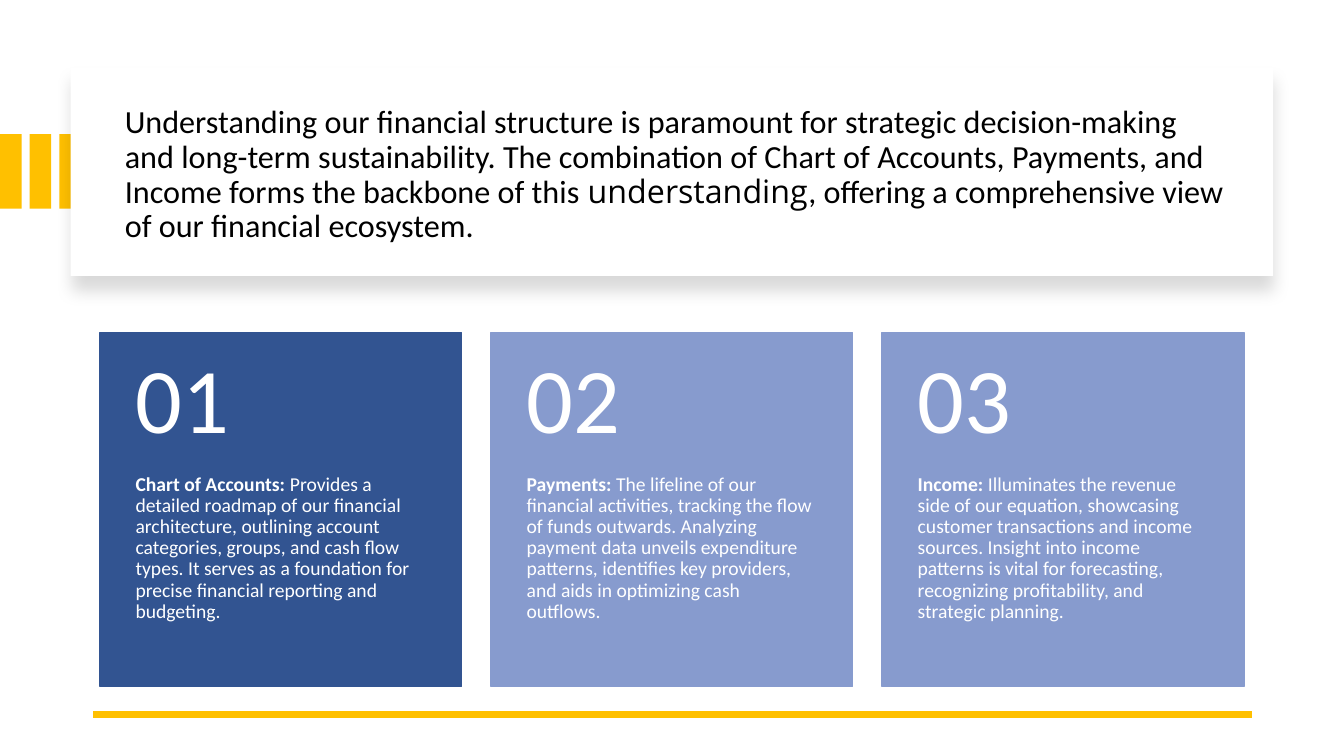
from lxml import etree
from pptx import Presentation
from pptx.dml.color import RGBColor
from pptx.enum.shapes import MSO_CONNECTOR, MSO_SHAPE
from pptx.enum.text import MSO_ANCHOR
from pptx.oxml.ns import qn
from pptx.util import Pt

RECTANGLE = MSO_SHAPE.RECTANGLE
STRAIGHT = MSO_CONNECTOR.STRAIGHT
TOP, MIDDLE = MSO_ANCHOR.TOP, MSO_ANCHOR.MIDDLE

GOLD = RGBColor(0xFF, 0xC0, 0x00)
WHITE = RGBColor(0xFF, 0xFF, 0xFF)
BLACK = RGBColor(0x00, 0x00, 0x00)
NAVY = RGBColor(0x32, 0x54, 0x91)
PERIWINKLE = RGBColor(0x87, 0x9B, 0xCE)

BODY_FONT, ACCENT_FONT = "Calibri", "Open Sans"

CARD_LEFT, CARD_TOP, CARD_PITCH = 71.28, 237.6, 279.36
CARD_WIDTH, CARD_HEIGHT, NUMBER_HEIGHT = 258.48, 252.72, 101.09

HEADLINE = [
    ("Understanding our financial structure is paramount for strategic "
     "decision-making and long-term sustainability. The combination of Chart of "
     "Accounts, Payments, and Income forms the backbone of this ", {}),
    ("understanding", {"font": ACCENT_FONT}),
    (", offering a comprehensive view of our financial ecosystem.", {}),
]

CARDS = [
    (NAVY, "Chart of Accounts:",
     " Provides a detailed roadmap of our financial architecture, outlining "
     "account categories, groups, and cash flow types. It serves as a foundation "
     "for precise financial reporting and budgeting."),
    (PERIWINKLE, "Payments:",
     " The lifeline of our financial activities, tracking the flow of funds "
     "outwards. Analyzing payment data unveils expenditure patterns, identifies "
     "key providers, and aids in optimizing cash outflows."),
    (PERIWINKLE, "Income:",
     " Illuminates the revenue side of our equation, showcasing customer "
     "transactions and income sources. Insight into income patterns is vital for "
     "forecasting, recognizing profitability, and strategic planning."),
]


def add_box(page, left, top, width, height, fill, line=None):
    box = page.shapes.add_shape(RECTANGLE, Pt(left), Pt(top), Pt(width), Pt(height))
    box.shadow.inherit = False
    box.fill.solid()
    box.fill.fore_color.rgb = fill
    if line is None:
        box.line.fill.background()
    else:
        box.line.color.rgb = line
        box.line.width = Pt(1)
    return box


def add_shadow(box):
    effects = box._element.spPr.find(qn("a:effectLst"))
    shadow = etree.SubElement(
        effects, qn("a:outerShdw"), blurRad=str(Pt(11)), dist=str(Pt(10)),
        dir=str(90 * 60000), algn="t", rotWithShape="0")
    color = etree.SubElement(shadow, qn("a:srgbClr"), val=str(BLACK))
    etree.SubElement(color, qn("a:alpha"), val="15000")


def add_span(para, text, *, size, color, font=BODY_FONT, bold=False):
    span = para.add_run()
    span.text = text
    span.font.name = font
    span.font.size = Pt(size)
    span.font.bold = bold
    span.font.color.rgb = color


def add_text(page, left, top, width, height, spans, *, size, color,
             anchor=TOP, insets=(7.2, 3.6, 7.2, 3.6)):
    box = page.shapes.add_textbox(Pt(left), Pt(top), Pt(width), Pt(height))
    frame = box.text_frame
    frame.word_wrap = True
    frame.vertical_anchor = anchor
    (frame.margin_left, frame.margin_top,
     frame.margin_right, frame.margin_bottom) = map(Pt, insets)
    para = frame.paragraphs[0]
    para.line_spacing = 0.9
    for text, style in spans:
        add_span(para, text, size=size, color=color, **style)


def add_rule(page, start, end, y):
    rule = page.shapes.add_connector(STRAIGHT, Pt(start), Pt(y), Pt(end), Pt(y))
    rule.line.color.rgb = GOLD
    rule.line.width = Pt(4.5)
    etree.SubElement(rule._element.spPr, qn("a:effectLst"))


def add_card(page, index, fill, heading, body):
    left = CARD_LEFT + index * CARD_PITCH
    add_box(page, left, CARD_TOP, CARD_WIDTH, CARD_HEIGHT, fill, line=fill)
    add_text(page, left, CARD_TOP + NUMBER_HEIGHT, CARD_WIDTH,
             CARD_HEIGHT - NUMBER_HEIGHT, [(heading, {"bold": True}), (body, {})],
             size=14, color=WHITE, insets=(25.5, 0, 25.5, 26))
    add_text(page, left, CARD_TOP, CARD_WIDTH, NUMBER_HEIGHT,
             [(f"{index + 1:02d}", {})], size=66, color=WHITE, anchor=MIDDLE,
             insets=(25.5, 13, 25.5, 13))


def main():
    deck = Presentation()
    deck.slide_width, deck.slide_height = Pt(960), Pt(540)
    page = deck.slides.add_slide(deck.slide_layouts[6])

    # Gold stripes at the left edge
    for index in range(3):
        add_box(page, index * 21.2, 95.8, 15.4, 53.3, GOLD)

    # Headline panel
    panel = add_box(page, 50.4, 48.2, 859, 149, WHITE)
    add_shadow(panel)
    add_text(page, 82.08, 64.08, 801.36, 122.4, HEADLINE,
             size=23, color=BLACK, anchor=MIDDLE)

    # Gold rule below the cards
    add_rule(page, 894.24, 66.24, 510.48)

    # Numbered cards
    for index, card in enumerate(CARDS):
        add_card(page, index, *card)

    deck.save("out.pptx")


if __name__ == "__main__":
    main()
